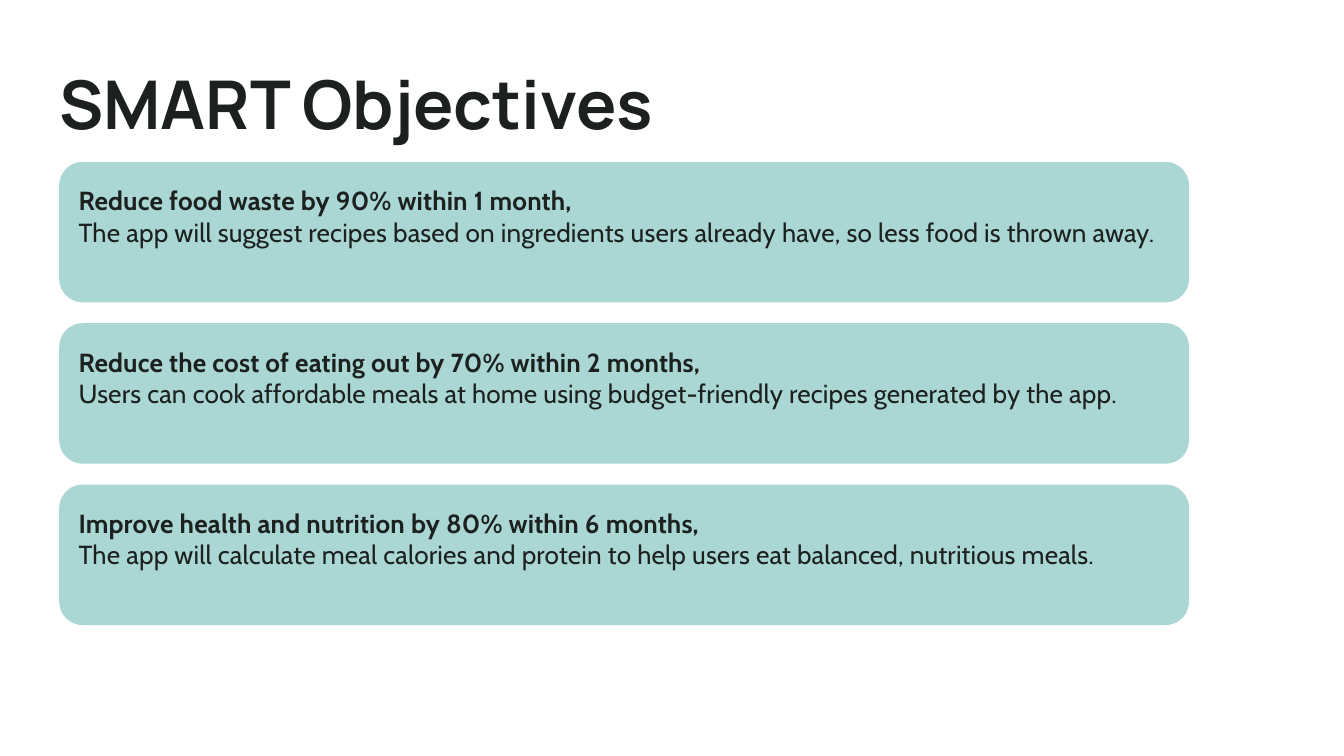
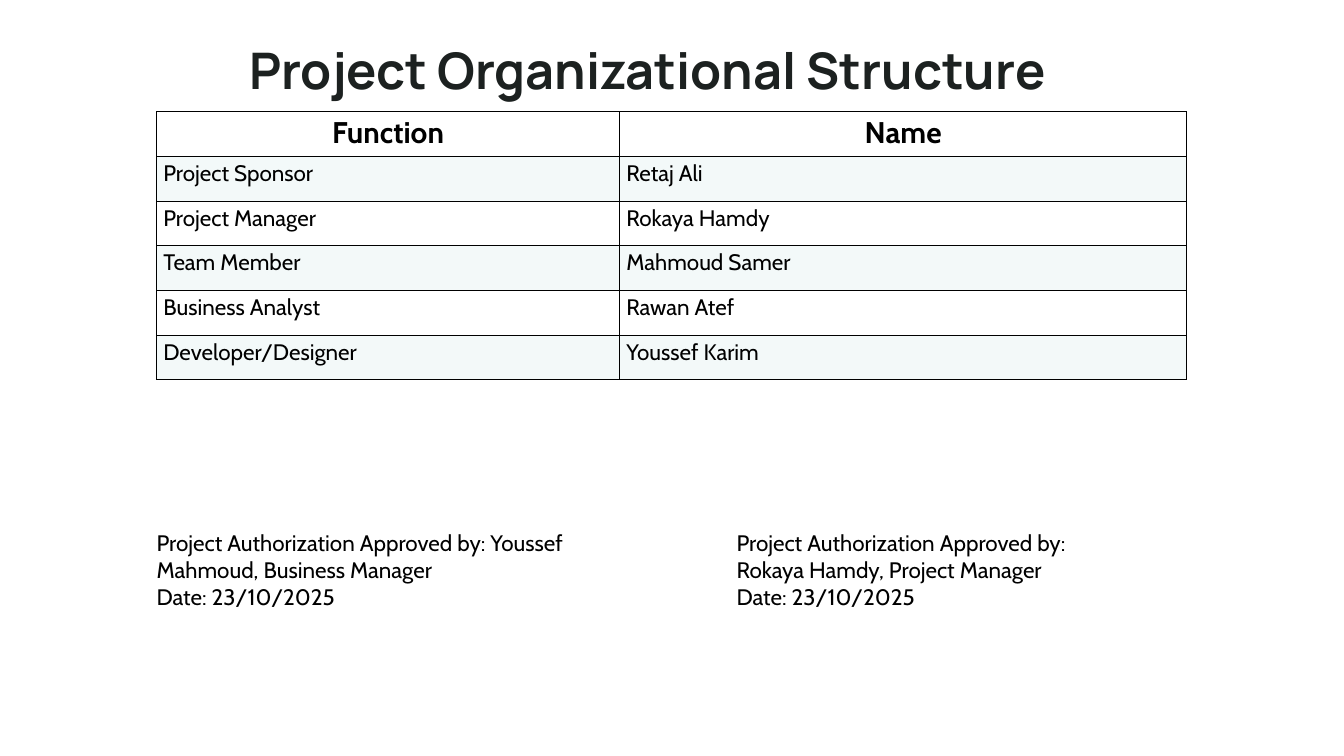
from pptx import Presentation
from pptx.dml.color import RGBColor
from pptx.enum.shapes import MSO_SHAPE as Preset
from pptx.enum.text import PP_ALIGN as Align
from pptx.oxml import parse_xml
from pptx.oxml.ns import nsdecls, qn
from pptx.util import Cm, Pt
from lxml.etree import SubElement

COLORS = {"ink": "1C2120", "black": "000000", "card": "AAD7D4", "band": "C6E1E2"}
HEAD_FONT, BODY_FONT = "Manrope", "Cabin"


class Builder:
    """Holds the deck style and the current page."""

    def __init__(self):
        self.deck = Presentation()
        self.deck.slide_width, self.deck.slide_height = Cm(50.8), Cm(28.58)
        self.page = None

    def new_page(self):
        self.page = self.deck.slides.add_slide(self.deck.slide_layouts[6])

    def style(self, para, size, color, font=BODY_FONT, bold=False, align=Align.LEFT, spacing=0):
        para.alignment = align
        for span in para.runs:
            span.font.name, span.font.size, span.font.bold = font, Pt(size), bold
            span.font.color.rgb = RGBColor.from_string(COLORS[color])
            if spacing:
                span.font._element.set("spc", str(spacing))

    def text(self, left, top, width, height, lines):
        box = self.page.shapes.add_textbox(Cm(left), Cm(top), Cm(width), Cm(height))
        frame = box.text_frame
        frame.word_wrap = True
        frame.margin_left = frame.margin_right = frame.margin_top = frame.margin_bottom = 0
        frame.text = "\n".join(lines)
        return frame.paragraphs

    def title(self, left, top, width, height, words, size, leading):
        para = self.text(left, top, width, height, [words])[0]
        para.line_spacing = Pt(leading)
        self.style(para, size, "ink", HEAD_FONT, bold=True)

    def card(self, left, top, width, height, goal, detail):
        shape = self.page.shapes.add_shape(
            Preset.FLOWCHART_ALTERNATE_PROCESS, Cm(left), Cm(top), Cm(width), Cm(height))
        shape.shadow.inherit = False
        shape.fill.solid()
        shape.fill.fore_color.rgb = RGBColor.from_string(COLORS["card"])
        shape.line.fill.background()
        paras = self.text(left + 0.73, top + 0.86, 41.28, 3.58, [goal, detail])
        for para, bold in zip(paras, (True, False)):
            self.style(para, 28, "ink", bold=bold, align=Align.JUSTIFY, spacing=20)

    def note(self, left, top, width, height, lines):
        for para in self.text(left, top, width, height, lines):
            self.style(para, 24, "black")

    def borders(self, cell, widths):
        props = cell._tc.get_or_add_tcPr()
        for side, width in widths.items():
            props.append(parse_xml(
                f'<a:ln{side} {nsdecls("a")} w="{Pt(width)}"><a:solidFill>'
                f'<a:srgbClr val="{COLORS["black"]}"/></a:solidFill></a:ln{side}>'))

    def table(self, left, top, col_widths, row_height, rows):
        grid = self.page.shapes.add_table(
            len(rows), len(col_widths), Cm(left), Cm(top),
            Cm(sum(col_widths)), Cm(row_height * len(rows))).table
        grid.horz_banding = grid.first_row = False
        for column, width in zip(grid.columns, col_widths):
            column.width = Cm(width)
        for r, row in enumerate(rows):
            for c, words in enumerate(row):
                cell = grid.cell(r, c)
                cell.text = words
                # A thicker rule separates the header from the body
                self.borders(cell, {"L": 1, "R": 1, "T": 2 if r == 1 else 1,
                                    "B": 2 if r == 0 else 1})
                if r % 2:
                    cell.fill.solid()
                    cell.fill.fore_color.rgb = RGBColor.from_string(COLORS["band"])
                    tint = cell._tc.tcPr.find(qn("a:solidFill")).find(qn("a:srgbClr"))
                    SubElement(tint, qn("a:alpha")).set("val", "20000")
                else:
                    cell.fill.background()
                para = cell.text_frame.paragraphs[0]
                if r == 0:
                    self.style(para, 32, "black", bold=True, align=Align.CENTER)
                else:
                    self.style(para, 24, "black")


OBJECTIVES = [
    ("Reduce food waste by 90% within 1 month,",
     "The app will suggest recipes based on ingredients users already have, "
     "so less food is thrown away."),
    ("Reduce the cost of eating out by 70% within 2 months,",
     "Users can cook affordable meals at home using budget-friendly recipes "
     "generated by the app."),
    ("Improve health and nutrition by 80% within 6 months,",
     "The app will calculate meal calories and protein to help users eat balanced, "
     "nutritious meals."),
]
TEAM = [
    ("Function", "Name"),
    ("Project Sponsor", "Retaj Ali"),
    ("Project Manager", "Rokaya Hamdy"),
    ("Team Member", "Mahmoud Samer"),
    ("Business Analyst", "Rawan Atef"),
    ("Developer/Designer", "Youssef Karim"),
]
DATE = "Date: 23/10/2025"
APPROVALS = [
    ["Project Authorization Approved by: Youssef Mahmoud, Business Manager", DATE],
    ["Project Authorization Approved by:", "Rokaya Hamdy, Project Manager", DATE],
]


def main():
    build = Builder()

    # Objectives
    build.new_page()
    build.title(2.24, 2.01, 25.78, 3.3, "SMART Objectives", 72, 96.6)
    for i, (goal, detail) in enumerate(OBJECTIVES):
        build.card(2.24, 6.12 + 6.1 * i, 42.7, 5.31, goal, detail)

    # Team and approvals
    build.new_page()
    build.title(9.42, 0.97, 31.95, 2.64, "Project Organizational Structure", 54, 79.3)
    build.table(5.92, 4.22, [17.5, 21.44], 1.69, TEAM)
    for i, lines in enumerate(APPROVALS):
        build.note(5.92 + 21.92 * i, 20.02, 17.04, 3.07, lines)

    build.deck.save("out.pptx")


if __name__ == "__main__":
    main()
